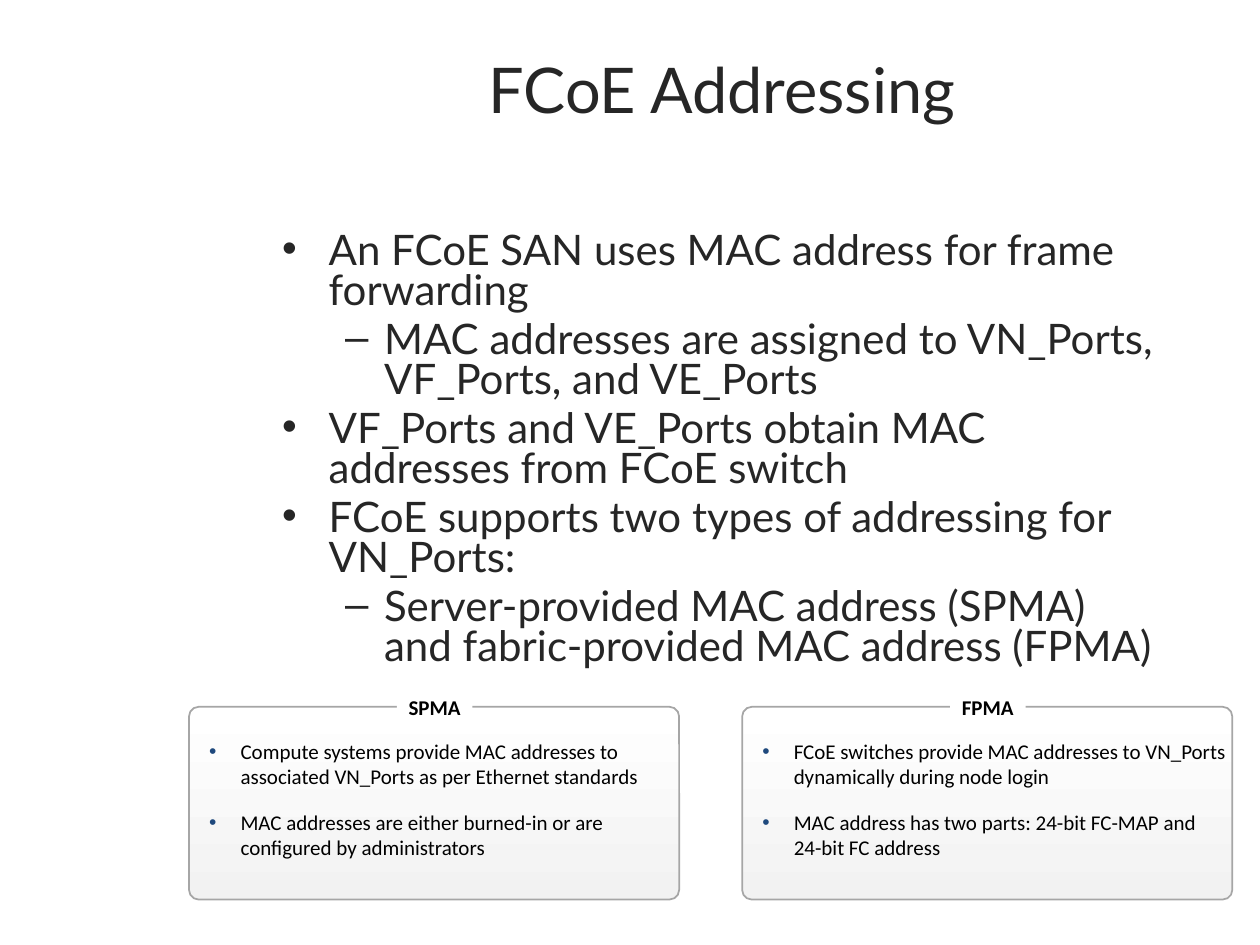
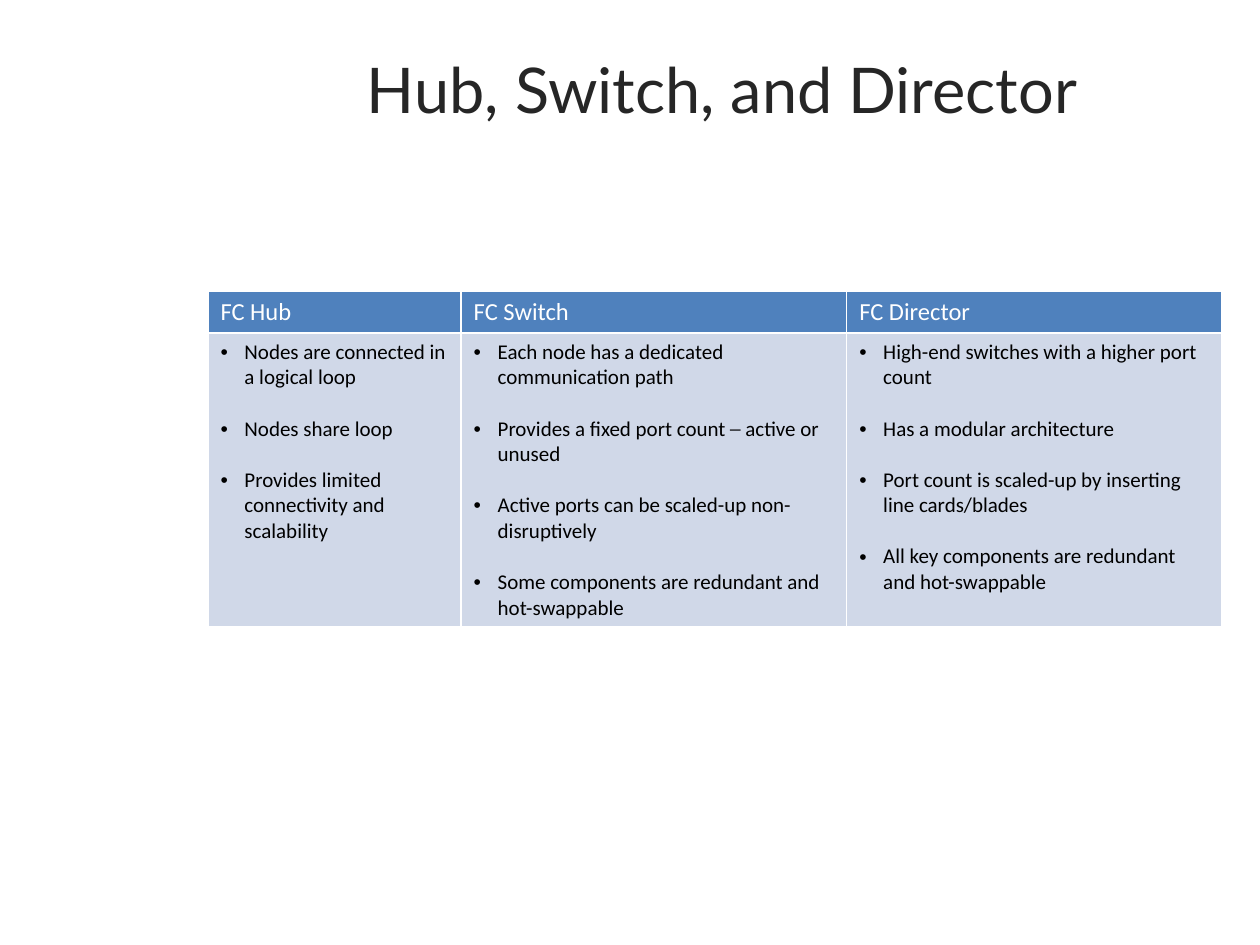
from lxml.etree import SubElement
from pptx import Presentation
from pptx.dml.color import RGBColor
from pptx.enum.shapes import MSO_SHAPE
from pptx.enum.text import MSO_ANCHOR, PP_ALIGN
from pptx.oxml.ns import qn
from pptx.util import Inches, Pt

COLORS = {
    "heading": "262626",
    "text": "000000",
    "white": "FFFFFF",
    "card_shade": "F2F2F2",
    "card_line": "A6A6A6",
    "card_bullet": "1F497D",
    "table_head": "4F81BD",
    "table_body": "D0D8E8",
}
HEADING_FONT, DETAIL_FONT = "Lato", "Calibri"
CONTENT_LEFT, CONTENT_WIDTH = 2.14, 7.18

ADDRESSING_POINTS = [
    (0, "An FCoE SAN uses MAC address for frame forwarding"),
    (1, "MAC addresses are assigned to VN_Ports, VF_Ports, and VE_Ports"),
    (0, "VF_Ports and VE_Ports obtain MAC addresses from FCoE switch"),
    (0, "FCoE supports two types of addressing for VN_Ports:"),
    (1, "Server-provided MAC address (SPMA) and fabric-provided MAC address (FPMA)"),
]
ADDRESS_TYPES = {
    "SPMA": [
        "Compute systems provide MAC addresses to associated VN_Ports as per Ethernet standards",
        "MAC addresses are either burned-in or are configured by administrators",
    ],
    "FPMA": [
        "FCoE switches provide MAC addresses to VN_Ports dynamically during node login",
        "MAC address has two parts: 24-bit FC-MAP and 24-bit FC address",
    ],
}
DEVICES = {
    "FC Hub": [
        "Nodes are connected in a logical loop",
        "Nodes share loop",
        "Provides limited connectivity and scalability",
    ],
    "FC Switch": [
        "Each node has a dedicated communication path",
        "Provides a fixed port count ─ active or unused",
        "Active ports can be scaled-up non-disruptively",
        "Some components are redundant and hot-swappable",
    ],
    "FC Director": [
        "High-end switches with a higher port count",
        "Has a modular architecture",
        "Port count is scaled-up by inserting line cards/blades",
        "All key components are redundant and hot-swappable",
    ],
}


def rgb(name):
    """Return the named palette colour."""
    return RGBColor.from_string(COLORS[name])


def add_span(para, text, size, font=DETAIL_FONT, color="text", bold=False):
    """Add one formatted run to a paragraph."""
    span = para.add_run()
    span.text = text
    span.font.name = font
    span.font.size = Pt(size)
    span.font.bold = bold
    span.font.color.rgb = rgb(color)


def paragraphs(frame, texts):
    """Yield a paragraph of the frame with each text, reusing the first one."""
    for index, text in enumerate(texts):
        yield (frame.add_paragraph() if index else frame.paragraphs[0]), text


def set_bullet(para, indent, hanging, mark="•", color=None):
    """Give a paragraph a hanging bullet."""
    props = para._p.get_or_add_pPr()
    props.set("marL", str(Inches(indent)))
    props.set("indent", str(-Inches(hanging)))
    if color:
        SubElement(SubElement(props, qn("a:buClr")), qn("a:srgbClr"), val=COLORS[color])
    SubElement(props, qn("a:buFont"), typeface="Arial")
    SubElement(props, qn("a:buChar"), char=mark)


def set_margins(frame, horizontal, vertical):
    """Set matching opposite margins on a text frame."""
    frame.margin_left = frame.margin_right = Inches(horizontal)
    frame.margin_top = frame.margin_bottom = Inches(vertical)


def add_text_box(page, left, top, width, height):
    """Add a wrapping text box and return its frame."""
    box = page.shapes.add_textbox(Inches(left), Inches(top), Inches(width), Inches(height))
    box.text_frame.word_wrap = True
    return box.text_frame


def add_panel(page, kind, left, top, width, height):
    """Add a preset shape without a shadow."""
    panel = page.shapes.add_shape(kind, Inches(left), Inches(top), Inches(width), Inches(height))
    panel.shadow.inherit = False
    return panel


def add_titled_page(deck, title):
    """Add a blank slide with the shared title style."""
    page = deck.slides.add_slide(deck.slide_layouts[6])
    para = add_text_box(page, CONTENT_LEFT, 0.35, CONTENT_WIDTH, 1.17).paragraphs[0]
    para.alignment = PP_ALIGN.CENTER
    add_span(para, title, 36, HEADING_FONT, "heading")
    return page


def add_outline(page, points):
    """Add the two-level bulleted body."""
    frame = add_text_box(page, CONTENT_LEFT, 1.8, CONTENT_WIDTH, 5.15)
    for para, (level, text) in paragraphs(frame, points):
        para.level = level
        para.line_spacing = 0.8
        para.space_before = Pt(4.8)
        set_bullet(para, *((0.81, 0.31, "–") if level else (0.37, 0.37)))
        add_span(para, text, 24, HEADING_FONT, "heading")


def add_card(page, left, label, points):
    """Add a rounded card with its label set into the top edge."""
    card = add_panel(page, MSO_SHAPE.ROUNDED_RECTANGLE, left, 5.61, 3.89, 1.53)
    card.adjustments[0] = 0.05
    card.fill.gradient()
    card.fill.gradient_angle = 90
    for stop, color in zip(card.fill.gradient_stops, ("card_shade", "white")):
        stop.color.rgb = rgb(color)
    card.line.color.rgb = rgb("card_line")
    card.line.width = Pt(1)

    frame = add_text_box(page, left + 0.16, 5.86, 3.7, 1.36)
    set_margins(frame, 0, 0)
    for para, text in paragraphs(frame, points):
        para.space_before = Pt(12)
        set_bullet(para, 0.25, 0.25, color="card_bullet")
        add_span(para, text, 12)

    tag = add_panel(page, MSO_SHAPE.RECTANGLE, left + 1.65, 5.55, 0.6, 0.13)
    tag.fill.solid()
    tag.fill.fore_color.rgb = rgb("white")
    tag.line.fill.background()
    set_margins(tag.text_frame, 0, 0.05)
    tag.text_frame.vertical_anchor = MSO_ANCHOR.MIDDLE
    para = tag.text_frame.paragraphs[0]
    para.alignment = PP_ALIGN.CENTER
    add_span(para, label, 12, bold=True)


def style_cell(cell, color):
    """Give a cell thin white borders and a solid fill."""
    props = cell._tc.get_or_add_tcPr()
    for edge in ("lnL", "lnR", "lnT", "lnB"):
        line = SubElement(props, qn(f"a:{edge}"), w=str(Pt(1)))
        SubElement(SubElement(line, qn("a:solidFill")), qn("a:srgbClr"), val=COLORS["white"])
    cell.fill.solid()
    cell.fill.fore_color.rgb = rgb(color)


def add_device_table(page, devices):
    """Add the table with one column per device."""
    table = page.shapes.add_table(
        2, len(devices), Inches(1.65), Inches(2.31), Inches(8.05), Inches(2.66)
    ).table
    table.horz_banding = False
    for row, height in zip(table.rows, (0.33, 2.33)):
        row.height = Inches(height)
    for index, (width, (name, points)) in enumerate(zip((2.01, 3.06, 2.98), devices.items())):
        table.columns[index].width = Inches(width)
        head, body = table.cell(0, index), table.cell(1, index)
        style_cell(head, "table_head")
        style_cell(body, "table_body")
        add_span(head.text_frame.paragraphs[0], name, 14, color="white")
        for para, text in paragraphs(body.text_frame, points):
            if text != points[0]:
                para.space_before = Pt(14.6)
            set_bullet(para, 0.19, 0.19)
            add_span(para, text, 12)


def main():
    """Build and save the deck."""
    deck = Presentation()
    deck.slide_width, deck.slide_height = Inches(10), Inches(7.5)

    page = add_titled_page(deck, "FCoE Addressing")
    add_outline(page, ADDRESSING_POINTS)
    for index, (label, points) in enumerate(ADDRESS_TYPES.items()):
        add_card(page, 1.5 + 4.39 * index, label, points)

    page = add_titled_page(deck, "Hub, Switch, and Director")
    add_device_table(page, DEVICES)

    deck.save("out.pptx")


if __name__ == "__main__":
    main()
